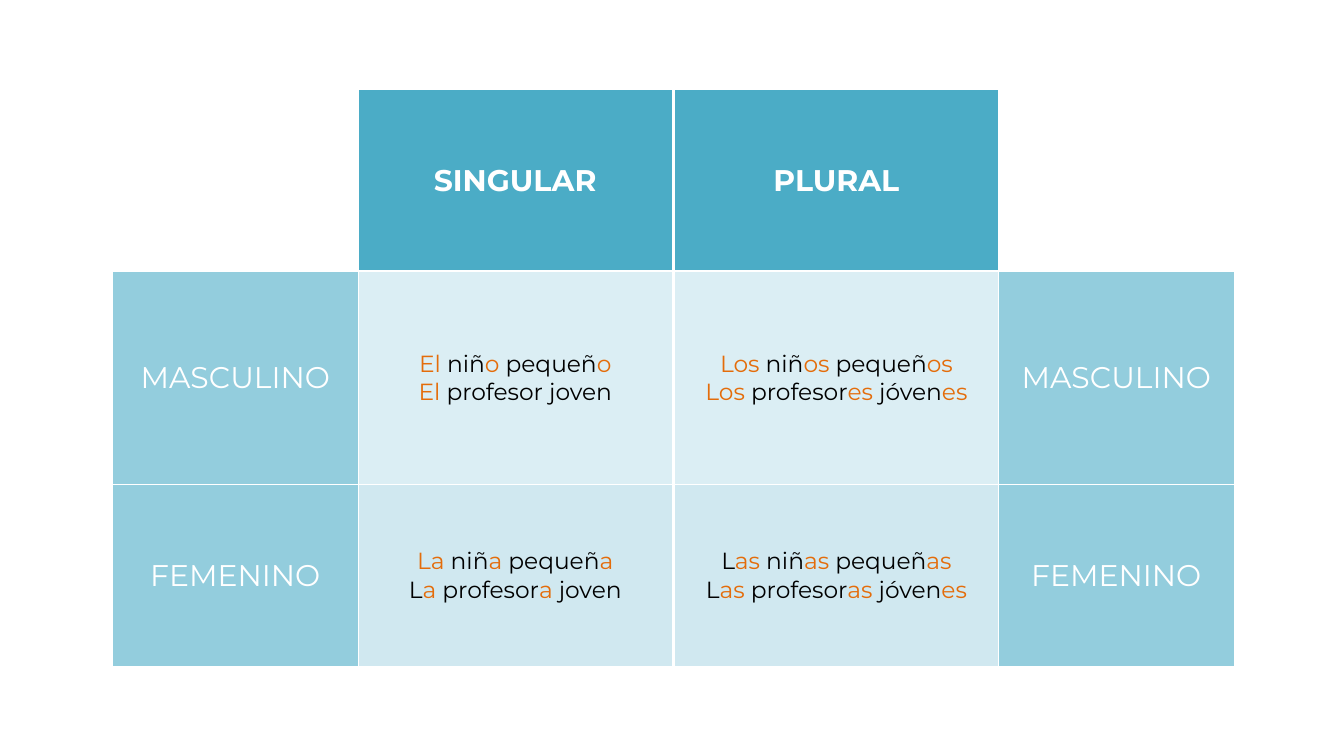
from lxml.etree import SubElement
from pptx import Presentation
from pptx.dml.color import RGBColor
from pptx.enum.text import MSO_ANCHOR, PP_ALIGN
from pptx.oxml.ns import qn
from pptx.util import Cm, Pt

FONT = "Montserrat"
WHITE, BLACK, ORANGE = "FFFFFF", "000000", "E46C0A"
HEADER, LABEL = "4BACC6", "93CDDD"
EXAMPLE_FILLS = ["DBEEF4", "D0E8F0"]

# Content: the parts between bars are the highlighted endings
GENDERS = ["MASCULINO", "FEMENINO"]
SINGULAR = [
    ["|El| niñ|o| pequeñ|o|", "|El |profesor joven"],
    ["|La| niñ|a| pequeñ|a|", "L|a| profesor|a| joven"],
]
PLURAL = [
    ["|Los| niñ|os| pequeñ|os|", "|Los| profesor|es| jóven|es|"],
    ["L|as| niñ|as| pequeñ|as|", "L|as| profesor|as| jóven|es|"],
]
TABLES = [
    {"title": "PLURAL", "examples": PLURAL, "left": 25.48,
     "widths": [12.27, 8.89], "example_col": 0},
    {"title": "SINGULAR", "examples": SINGULAR, "left": 4.24,
     "widths": [9.31, 11.85], "example_col": 1},
]
TOP = 3.39
ROW_HEIGHTS = [6.86, 8.08, 6.86]


def rgb(value):
    return RGBColor.from_string(value)


def write(cell, lines, size=32, color=WHITE, bold=False, fill=LABEL):
    cell.fill.solid()
    cell.fill.fore_color.rgb = rgb(fill)
    cell.vertical_anchor = MSO_ANCHOR.MIDDLE
    tf = cell.text_frame
    for i, line in enumerate(lines):
        p = tf.paragraphs[0] if i == 0 else tf.add_paragraph()
        p.alignment = PP_ALIGN.CENTER
        for j, part in enumerate(line.split("|")):
            if not part:
                continue
            r = p.add_run()
            r.text = part
            r.font.name = FONT
            r.font.size = Pt(size)
            r.font.bold = bold
            r.font.color.rgb = rgb(ORANGE if j % 2 else color)


def add_borders(cell, top=1, bottom=1):
    tc_pr = cell._tc.get_or_add_tcPr()
    for side, width in (("L", 1), ("R", 1), ("T", top), ("B", bottom)):
        ln = SubElement(tc_pr, qn(f"a:ln{side}"), w=str(Pt(width)))
        SubElement(SubElement(ln, qn("a:solidFill")), qn("a:srgbClr"), val=WHITE)


def add_grammar_table(slide, title, examples, left, widths, example_col):
    frame = slide.shapes.add_table(
        len(ROW_HEIGHTS), len(widths), Cm(left), Cm(TOP),
        Cm(sum(widths)), Cm(sum(ROW_HEIGHTS)))
    table = frame.table
    table.first_row = table.horz_banding = False
    for column, width in zip(table.columns, widths):
        column.width = Cm(width)
    for row, height in zip(table.rows, ROW_HEIGHTS):
        row.height = Cm(height)

    # White grid, thicker below the header
    for i, row in enumerate(table.rows):
        for cell in row.cells:
            add_borders(cell, top=3 if i == 1 else 1, bottom=3 if i == 0 else 1)

    # Header row with one empty corner
    label_col = 1 - example_col
    table.cell(0, label_col).fill.background()
    write(table.cell(0, example_col), [title], bold=True, fill=HEADER)

    # Gender labels and examples
    for i, (gender, lines, fill) in enumerate(zip(GENDERS, examples, EXAMPLE_FILLS), 1):
        write(table.cell(i, label_col), [gender])
        write(table.cell(i, example_col), lines, size=25, color=BLACK, fill=fill)


def main():
    prs = Presentation()
    prs.slide_width, prs.slide_height = Cm(50.8), Cm(28.58)
    s = prs.slides.add_slide(prs.slide_layouts[6])
    for table in TABLES:
        add_grammar_table(s, **table)
    prs.save("out.pptx")


if __name__ == "__main__":
    main()
